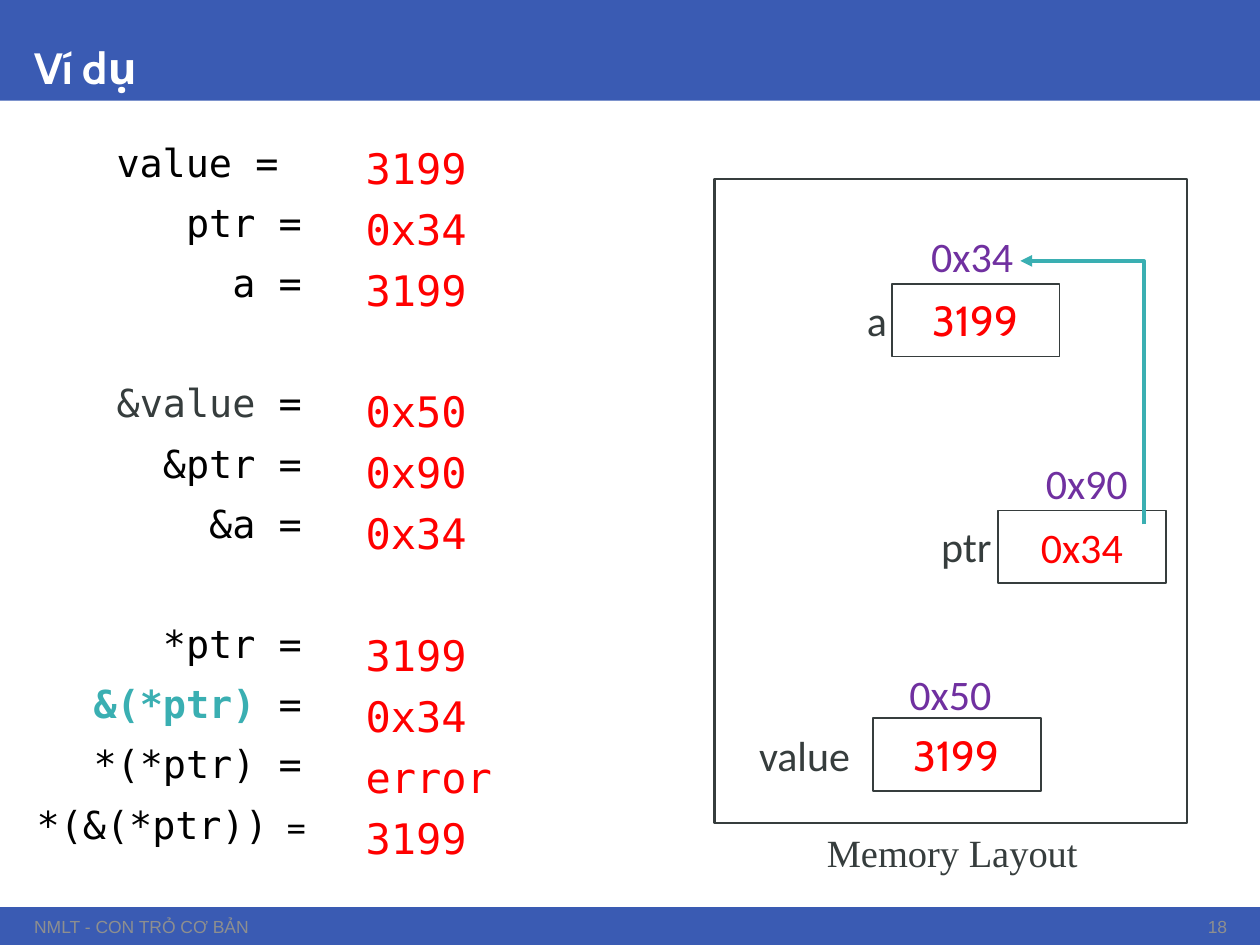
import pptx
import pptx.dml.color
import pptx.enum.shapes
import pptx.enum.text
import pptx.util
from lxml import etree

Cm = pptx.util.Cm
Pt = pptx.util.Pt
ALIGN = pptx.enum.text.PP_ALIGN
ANCHOR = pptx.enum.text.MSO_ANCHOR
COLORS = {
    "band": "3A5BB3", "white": "FFFFFF", "footer": "8E8F8F", "ink": "363D3D",
    "red": "FF0000", "purple": "7030A0", "teal": "3AAFB2", "black": "000000",
}
MONO = "DejaVu Sans Mono"


def color(name):
    return pptx.dml.color.RGBColor.from_string(COLORS[name])


def write(box, lines, size, font, ink, align=ALIGN.LEFT, anchor=ANCHOR.MIDDLE, wrap=True):
    frame = box.text_frame
    frame.word_wrap = wrap
    frame.vertical_anchor = anchor
    frame.margin_left = frame.margin_right = Cm(0.13)
    frame.margin_top = frame.margin_bottom = Cm(0.13)
    frame.text = "\n".join(lines)
    for para in frame.paragraphs:
        para.alignment = align
        for span in para.runs:
            span.font.size = Pt(size)
            span.font.name = font
            span.font.bold = False
            span.font.color.rgb = color(ink)
    return frame.paragraphs


deck = pptx.Presentation()
deck.slide_width = Cm(25.4)
deck.slide_height = Cm(19.05)
page = deck.slides.add_slide(deck.slide_layouts[6])
shapes = page.shapes

rectangles = [
    (0, 0, 25.4, 2.03, "band", None, 0, "", ""),
    (0, 18.29, 25.4, 0.76, "band", None, 0, "", ""),
    (14.4, 3.61, 9.53, 12.98, "white", "ink", 1.5, "", ""),
    (17.98, 5.72, 3.38, 1.47, "white", "ink", 1, "3199", "Cabin"),
    (17.6, 14.48, 3.38, 1.47, "white", "ink", 1, "3199", "Cabin"),
    (20.12, 10.29, 3.38, 1.47, "white", "ink", 1, "0x34", "Calibri"),
]
for left, top, width, height, fill, line, weight, value, font in rectangles:
    box = shapes.add_shape(
        pptx.enum.shapes.MSO_SHAPE.RECTANGLE, Cm(left), Cm(top), Cm(width), Cm(height))
    box.shadow.inherit = False
    box.fill.solid()
    box.fill.fore_color.rgb = color(fill)
    if line:
        box.line.color.rgb = color(line)
        box.line.width = Pt(weight)
    else:
        box.line.fill.background()
    if value:
        write(box, [value], 24, font, "red", ALIGN.CENTER)

title = shapes.add_textbox(Cm(0.56), Cm(0), Cm(24.31), Cm(2.03))
heading = write(title, ["Ví dụ"], 25, "Cabin", "white", anchor=ANCHOR.BOTTOM)[0]
heading.line_spacing = 0.9
heading.runs[0].font.bold = True

footer = shapes.add_textbox(Cm(0.56), Cm(18.36), Cm(20.98), Cm(0.64))
write(footer, ["NMLT - CON TRỎ CƠ BẢN"], 10, "Arial", "footer")
number = shapes.add_textbox(Cm(24.18), Cm(18.36), Cm(0.69), Cm(0.64))
write(number, ["18"], 10, "Arial", "footer", ALIGN.RIGHT, wrap=False)
caption = shapes.add_textbox(Cm(16.54), Cm(16.59), Cm(5.54), Cm(1.14))
write(caption, ["Memory Layout"], 22, "Times New Roman", "ink", anchor=ANCHOR.TOP, wrap=False)

labels = [
    ("a", 14.43, 5.82, "ink", ALIGN.RIGHT),
    ("ptr", 16.54, 10.36, "ink", ALIGN.RIGHT),
    ("value", 14.43, 14.58, "ink", ALIGN.CENTER),
    ("0x34", 17.81, 4.52, "purple", ALIGN.CENTER),
    ("0x90", 20.12, 9.09, "purple", ALIGN.CENTER),
    ("0x50", 17.37, 13.34, "purple", ALIGN.CENTER),
]
for label, left, top, ink, align in labels:
    box = shapes.add_textbox(Cm(left), Cm(top), Cm(3.58), Cm(1.27))
    write(box, [label], 24, "Calibri", ink, align)

builder = shapes.build_freeform(Cm(23.06), Cm(10.57))
builder.add_line_segments([(Cm(23.06), Cm(5.26)), (Cm(20.57), Cm(5.26))], close=False)
pointer = builder.convert_to_shape()
pointer.shadow.inherit = False
pointer.fill.background()
pointer.line.color.rgb = color("teal")
pointer.line.width = Pt(2.25)
outline = pointer.line._get_or_add_ln()
etree.SubElement(outline, pptx.oxml.ns.qn("a:tailEnd"), type="triangle")

results = ["3199", "0x34", "3199", "0x50", "0x90", "0x34", "3199", "0x34", "error", "3199"]
names = ["value", "ptr", "a", "&value", "&ptr", "&a", "*ptr", "&(*ptr)", "*(*ptr)", "*(&(*ptr))"]
group_starts = (3, 6)

result_box = shapes.add_textbox(Cm(7.01), Cm(2.74), Cm(6.5), Cm(14.3))
result_lines = write(result_box, results, 24, MONO, "red", anchor=ANCHOR.TOP)
name_box = shapes.add_textbox(Cm(0.2), Cm(2.84), Cm(6.48), Cm(15.37))
name_lines = write(name_box, names, 22, MONO, "black", ALIGN.RIGHT, ANCHOR.TOP)

for index, para in enumerate(name_lines):
    para.line_spacing = 0.81
    para._p.get_or_add_pPr().set("marR", str(Cm(0 if index else 0.47)))
    span = para.add_run()
    span.text = " = "
    span.font.size = Pt(22)
    span.font.name = MONO
    span.font.color.rgb = color("black")
name_lines[3].runs[0].font.color.rgb = color("ink")
name_lines[7].runs[0].font.color.rgb = color("teal")
name_lines[7].runs[0].font.bold = True
name_lines[9].runs[1].font.size = Pt(18)

for lines, gap, pitch in ((result_lines, 6, 34.8), (name_lines, 13, 34.4)):
    for index, para in enumerate(lines):
        para._p.get_or_add_pPr().set("indent", str(Cm(0.23)))
        if index:
            para.space_before = Pt(gap + pitch if index in group_starts else gap)

deck.save("out.pptx")
